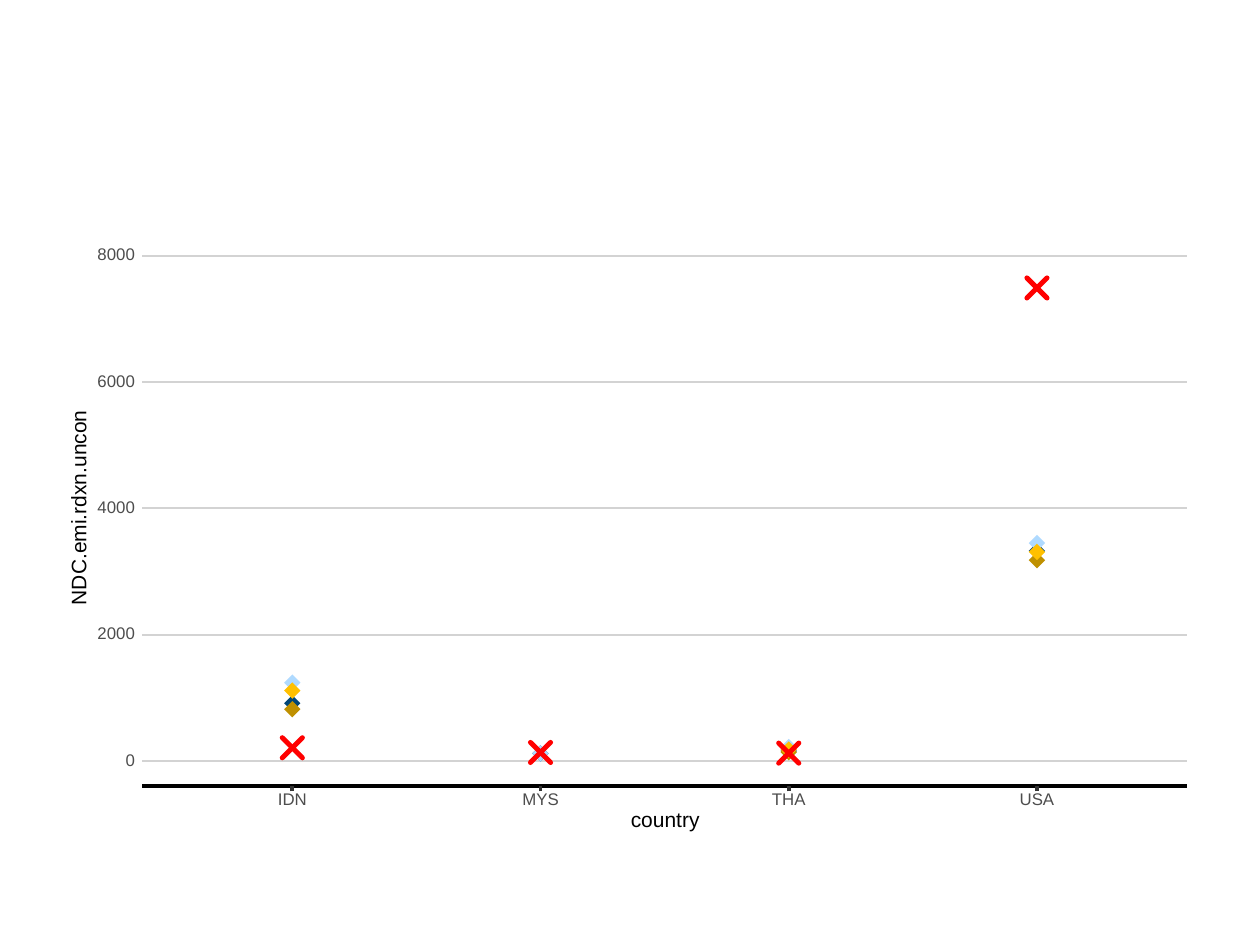
from dataclasses import dataclass

import pptx
import pptx.util
import pptx.dml.color
import pptx.enum.shapes
import pptx.enum.text
import pptx.oxml.ns
from lxml import etree
from pptx.util import Inches

HUES = {
    "panel": "FFFFFF", "grid": "D3D3D3", "axis": "000000", "tick": "333333",
    "label": "4D4D4D", "navy": "004678", "sky": "AFDAFF", "ochre": "BF9000",
    "gold": "FFC000", "red": "FF0000",
}
LEFT, RIGHT = 1.13, 9.42
ZERO, BASE = 6.04, 6.24
STEP, TOP, RISE = 2000, 8000, 1.0
FIRST, GAP = 2.32, 1.97
DOT, CROSS = 0.13, 0.16
RISE = (ZERO - 2.03) / (TOP / STEP)
ALIGN = pptx.enum.text.PP_ALIGN
SHAPE = pptx.enum.shapes.MSO_SHAPE
NATIONS = ["IDN", "MYS", "THA", "USA"]


@dataclass
class Series:
    hue: str
    values: list[float | None]


@dataclass
class Label:
    text: str
    left: float
    top: float
    width: float
    height: float = 0.1
    size: float = 9.6
    hue: str = "label"
    align: ALIGN = ALIGN.CENTER
    turn: float = 0


DOTS = [
    Series("navy", [915, 120, 160, 3325]),
    Series("sky", [1240, 120, 220, 3450]),
    Series("ochre", [820, None, 140, 3180]),
    Series("gold", [1115, None, 180, 3310]),
]
TARGET = Series("red", [210, 135, 125, 7490])


def color(key: str) -> pptx.dml.color.RGBColor:
    return pptx.dml.color.RGBColor.from_string(HUES[key])


def col(index: int) -> float:
    """Centre of a country's column."""
    return FIRST + index * GAP


def row(value: float) -> float:
    """Height on the slide of a value."""
    return ZERO - value / STEP * RISE


def line(shapes, x1: float, y1: float, x2: float, y2: float,
         hue: str, width: float, cap: str = "flat") -> None:
    rule = shapes.add_connector(
        pptx.enum.shapes.MSO_CONNECTOR.STRAIGHT,
        Inches(x1), Inches(y1), Inches(x2), Inches(y2))
    rule.line.color.rgb = color(hue)
    rule.line.width = pptx.util.Pt(width)
    rule.line._get_or_add_ln().set("cap", cap)
    etree.SubElement(rule._element.spPr, pptx.oxml.ns.qn("a:effectLst"))


def solid(shapes, kind: SHAPE, left: float, top: float,
          width: float, height: float, hue: str):
    """Add a filled shape without outline."""
    mark = shapes.add_shape(kind, Inches(left), Inches(top),
                            Inches(width), Inches(height))
    mark.shadow.inherit = False
    mark.fill.solid()
    mark.fill.fore_color.rgb = color(hue)
    mark.line.fill.background()
    return mark


def cross(shapes, x: float, y: float, hue: str) -> None:
    half = CROSS / 2
    for side in (half, -half):
        line(shapes, x - half, y + side, x + half, y - side, hue, 2.83, "rnd")


def write(shapes, label: Label) -> None:
    box = shapes.add_textbox(Inches(label.left), Inches(label.top),
                             Inches(label.width), Inches(label.height))
    box.rotation = label.turn
    frame = box.text_frame
    frame.margin_left = frame.margin_right = 0
    frame.margin_top = frame.margin_bottom = 0
    frame.word_wrap = False
    frame.vertical_anchor = pptx.enum.text.MSO_ANCHOR.MIDDLE
    para = frame.paragraphs[0]
    para.alignment = label.align
    para.line_spacing = pptx.util.Pt(label.size)
    run = para.add_run()
    run.text = label.text
    run.font.name = "Arial"
    run.font.size = pptx.util.Pt(label.size)
    run.font.color.rgb = color(label.hue)


def main() -> None:
    deck = pptx.Presentation()
    deck.slide_width, deck.slide_height = Inches(10), Inches(7.5)
    shapes = deck.slides.add_slide(deck.slide_layouts[6]).shapes

    panel = solid(shapes, SHAPE.RECTANGLE, 0.5, 1.75, 9, 4.95, "panel")
    panel.line.color.rgb = color("panel")
    panel.line.width = pptx.util.Pt(1.07)

    levels = range(0, TOP + 1, STEP)
    minors = range(STEP // 2, TOP, STEP)
    for marks, hue, width in ((minors, "panel", 0.53), (levels, "grid", 1.07)):
        for level in marks:
            line(shapes, LEFT, row(level), RIGHT, row(level), hue, width)
    for series in DOTS:
        for index, value in enumerate(series.values):
            if value is not None:
                solid(shapes, SHAPE.DIAMOND, col(index) - DOT / 2,
                      row(value) - DOT / 2, DOT, DOT, series.hue)
    for index, value in enumerate(TARGET.values):
        cross(shapes, col(index), row(value), TARGET.hue)

    for level in levels:
        text = str(level)
        width = 0.08 * len(text)
        write(shapes, Label(text, 1.07 - width, row(level) - 0.05, width,
                            align=ALIGN.RIGHT))
    line(shapes, LEFT, BASE, RIGHT, BASE, "axis", 2.13)
    for index, nation in enumerate(NATIONS):
        x = col(index)
        line(shapes, x, BASE + 0.04, x, BASE, "tick", 2.13)
        write(shapes, Label(nation, x - 0.15, 6.3, 0.3))
    write(shapes, Label("country", 5, 6.44, 0.56, 0.15, 12, "axis"))
    write(shapes, Label("NDC.emi.rdxn.uncon", -0.14, 3.97, 1.55, 0.12, 12,
                        "axis", turn=270))
    deck.save("out.pptx")


if __name__ == "__main__":
    main()
